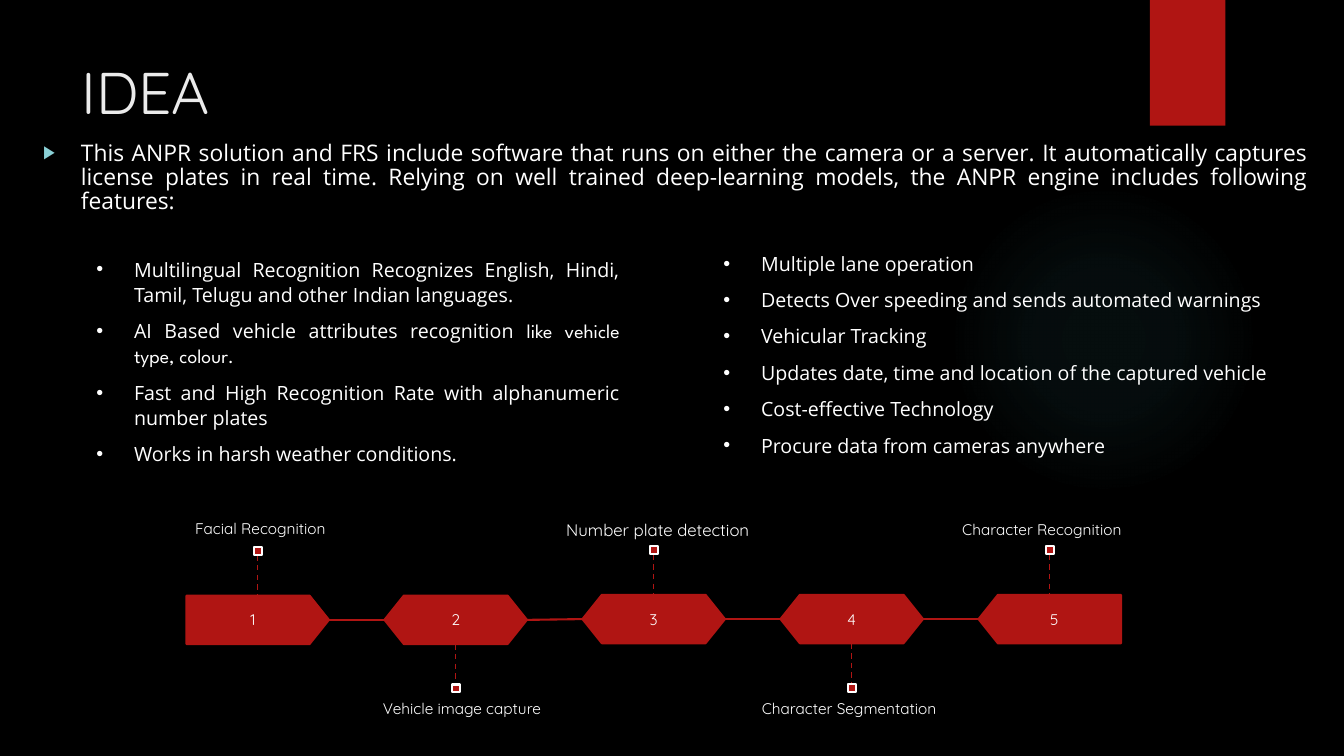
"""Build the IDEA slide: feature lists above a five-step recognition timeline."""
from lxml.etree import SubElement
from pptx import Presentation
from pptx.dml.color import RGBColor
from pptx.enum.dml import MSO_LINE
from pptx.enum.shapes import MSO_CONNECTOR, MSO_SHAPE
from pptx.enum.text import MSO_ANCHOR, PP_ALIGN
from pptx.oxml import parse_xml
from pptx.oxml.ns import nsdecls, qn
from pptx.util import Cm, Pt

BLACK = RGBColor(0x00, 0x00, 0x00)
WHITE = RGBColor(0xFF, 0xFF, 0xFF)
OFF_WHITE = RGBColor(0xEB, 0xEB, 0xEB)
RED = RGBColor(0xB0, 0x15, 0x13)
AQUA = RGBColor(0x8A, 0xD0, 0xD6)
GLOW = RGBColor(0x50, 0xB9, 0xC1)

HEADING_FONT = "Quicksand"
BODY_FONT = "Open Sans"
ACCENT_FONT = "League Spartan"

INTRO = ("This ANPR solution and FRS include software that runs on either the camera "
         "or a server. It automatically captures license plates in real time. Relying on "
         "well trained deep-learning models, the ANPR engine includes following features:")
LEFT_FEATURES = [
    [("Multilingual Recognition Recognizes English, Hindi, Tamil, Telugu and other "
      "Indian languages.", BODY_FONT)],
    [("AI Based vehicle attributes recognition ", BODY_FONT),
     ("like vehicle type, colour.", ACCENT_FONT)],
    [("Fast and High Recognition Rate with alphanumeric number plates", BODY_FONT)],
    [("Works in harsh weather conditions.", BODY_FONT)],
]
RIGHT_FEATURES = [[(text, BODY_FONT)] for text in (
    "Multiple lane operation",
    "Detects Over speeding and sends automated warnings",
    "Vehicular Tracking",
    "Updates date, time and location of the captured vehicle",
    "Cost-effective Technology",
    "Procure data from cameras anywhere",
)]

STEP_LEFT, STEP_WIDTH, STEP_HEIGHT, STEP_PITCH = 4.7, 3.59, 1.22, 4.99
STEP_TOPS = (15.01, 15.01, 14.99, 14.99, 14.99)
STEP_SHAPES = (MSO_SHAPE.PENTAGON, *[MSO_SHAPE.HEXAGON] * 3, MSO_SHAPE.PENTAGON)
NUMBER_SHIFTS = (-0.12, 0, 0, 0, 0.12)
STEM, MARKER = 1.02, 0.2
STEP_LABELS = (
    ("Facial Recognition", 4.67, 12.95, 11),
    ("Vehicle image capture", 9.4, 17.48, 11),
    ("Number plate detection", 14.02, 12.98, 12),
    ("Character Recognition", 24, 12.98, 11),
    ("Character Segmentation", 18.95, 17.5, 11),
)


def add_box(page, left, top, width, height, anchor=MSO_ANCHOR.TOP):
    """Add a wrapping text box and return its text frame."""
    box = page.shapes.add_textbox(Cm(left), Cm(top), Cm(width), Cm(height))
    frame = box.text_frame
    frame.word_wrap = True
    frame.vertical_anchor = anchor
    return frame


def style_paragraph(para, size, font, color=WHITE):
    """Set the font shared by the runs of a paragraph."""
    para.font.size = Pt(size)
    para.font.name = font
    para.font.color.rgb = color


def add_label(page, text, left, top, width, height, size, align=PP_ALIGN.LEFT,
              color=WHITE, anchor=MSO_ANCHOR.TOP):
    """Add one line of heading-font text."""
    para = add_box(page, left, top, width, height, anchor).paragraphs[0]
    para.alignment = align
    para.add_run().text = text
    style_paragraph(para, size, HEADING_FONT, color)


def set_bullet(para, symbol, color, percent):
    """Give a paragraph a hanging bullet."""
    properties = para._p.get_or_add_pPr()
    properties.set("marL", str(Cm(0.95)))
    properties.set("indent", str(-Cm(0.95)))
    bullet_color = SubElement(properties, qn("a:buClr"))
    SubElement(bullet_color, qn("a:srgbClr"), val=str(color))
    SubElement(properties, qn("a:buSzPct"), val=str(percent * 1000))
    SubElement(properties, qn("a:buFont"), typeface="Arial")
    SubElement(properties, qn("a:buChar"), char=symbol)


def add_bullets(page, items, left, top, width, height, size, spacing,
                symbol="•", color=WHITE, percent=100):
    """Add a justified bullet list whose items are lists of text and font pairs."""
    frame = add_box(page, left, top, width, height)
    for index, item in enumerate(items):
        para = frame.add_paragraph() if index else frame.paragraphs[0]
        set_bullet(para, symbol, color, percent)
        para.alignment = PP_ALIGN.JUSTIFY
        para.line_spacing = spacing
        para.space_after = Pt(8)
        style_paragraph(para, size, BODY_FONT)
        for text, font in item:
            span = para.add_run()
            span.text = text
            if font != BODY_FONT:
                span.font.name = font


def add_block(page, kind, left, top, width, height, line=None, line_width=1.5):
    """Add a red preset shape, outlined when a line colour is given."""
    block = page.shapes.add_shape(kind, Cm(left), Cm(top), Cm(width), Cm(height))
    block.shadow.inherit = False
    block.fill.solid()
    block.fill.fore_color.rgb = RED
    if line is None:
        block.line.fill.background()
    else:
        block.line.color.rgb = line
        block.line.width = Pt(line_width)
    return block


def add_glow(page, left, top, size):
    """Add a faint circle that fades out towards its edge."""
    glow = add_block(page, MSO_SHAPE.OVAL, left, top, size, size)
    stops = "".join(
        f'<a:gs pos="{position * 1000}"><a:srgbClr val="{GLOW}">'
        f'<a:alpha val="{alpha * 1000}"/></a:srgbClr></a:gs>'
        for position, alpha in ((0, 7), (36, 6), (69, 0)))
    gradient = parse_xml(
        f'<a:gradFill {nsdecls("a")}><a:gsLst>{stops}</a:gsLst><a:path path="circle">'
        '<a:fillToRect l="50000" t="50000" r="50000" b="50000"/></a:path></a:gradFill>')
    properties = glow._element.spPr
    properties.replace(properties.find(qn("a:solidFill")), gradient)


def add_line(page, start, end, width, dashed=False):
    """Add a straight red connector between two points."""
    points = [Cm(value) for value in (*start, *end)]
    line = page.shapes.add_connector(MSO_CONNECTOR.STRAIGHT, *points)
    line.line.color.rgb = RED
    line.line.width = Pt(width)
    if dashed:
        line.line.dash_style = MSO_LINE.DASH
    SubElement(line._element.spPr, qn("a:effectLst"))


def add_step(page, index):
    """Add a numbered timeline step with its stem, marker and link to the next step."""
    left, top = STEP_LEFT + index * STEP_PITCH, STEP_TOPS[index]
    middle, right, bottom = left + STEP_WIDTH / 2, left + STEP_WIDTH, top + STEP_HEIGHT
    last = index == len(STEP_TOPS) - 1
    block = add_block(page, STEP_SHAPES[index], left, top, STEP_WIDTH, STEP_HEIGHT, RED)
    block.adjustments[0] = 0.4
    if last:
        block.rotation = 180
    else:
        add_line(page, (right, top + STEP_HEIGHT / 2),
                 (left + STEP_PITCH, STEP_TOPS[index + 1] + STEP_HEIGHT / 2), 1.5)
    add_label(page, str(index + 1), left + NUMBER_SHIFTS[index], top, STEP_WIDTH,
              STEP_HEIGHT, 11, PP_ALIGN.CENTER, anchor=MSO_ANCHOR.MIDDLE)
    if index % 2:
        stem_top, marker_top = bottom, bottom + STEM
    else:
        stem_top, marker_top = top - STEM, top - STEM - MARKER
    add_line(page, (middle, stem_top), (middle, stem_top + STEM), 1, dashed=True)
    add_block(page, MSO_SHAPE.RECTANGLE, middle - MARKER / 2, marker_top,
              MARKER, MARKER, WHITE)


def main():
    """Build and save the slide."""
    deck = Presentation()
    deck.slide_width, deck.slide_height = Cm(33.87), Cm(19.05)
    page = deck.slides.add_slide(deck.slide_layouts[6])
    page.background.fill.solid()
    page.background.fill.fore_color.rgb = BLACK

    add_glow(page, 23.9, 4.65, 7.82)
    add_block(page, MSO_SHAPE.RECTANGLE, 28.98, 0, 1.9, 3.17)
    add_label(page, "IDEA", 1.8, 1.27, 26.14, 2.03, 42, color=OFF_WHITE,
              anchor=MSO_ANCHOR.MIDDLE)
    add_bullets(page, [[(INTRO, BODY_FONT)]], 0.84, 3.45, 32.39, 2.57, 16.3, 0.88,
                "▶", AQUA, 80)
    add_bullets(page, RIGHT_FEATURES, 17.98, 6.17, 14.71, 6.43, 14, Pt(18))
    add_bullets(page, LEFT_FEATURES, 2.18, 6.32, 13.69, 6.5, 14, Pt(18))
    for index in range(len(STEP_TOPS)):
        add_step(page, index)
    for text, left, top, size in STEP_LABELS:
        add_label(page, text, left, top, 5.51, 0.75, size)
    deck.save("out.pptx")


if __name__ == "__main__":
    main()
